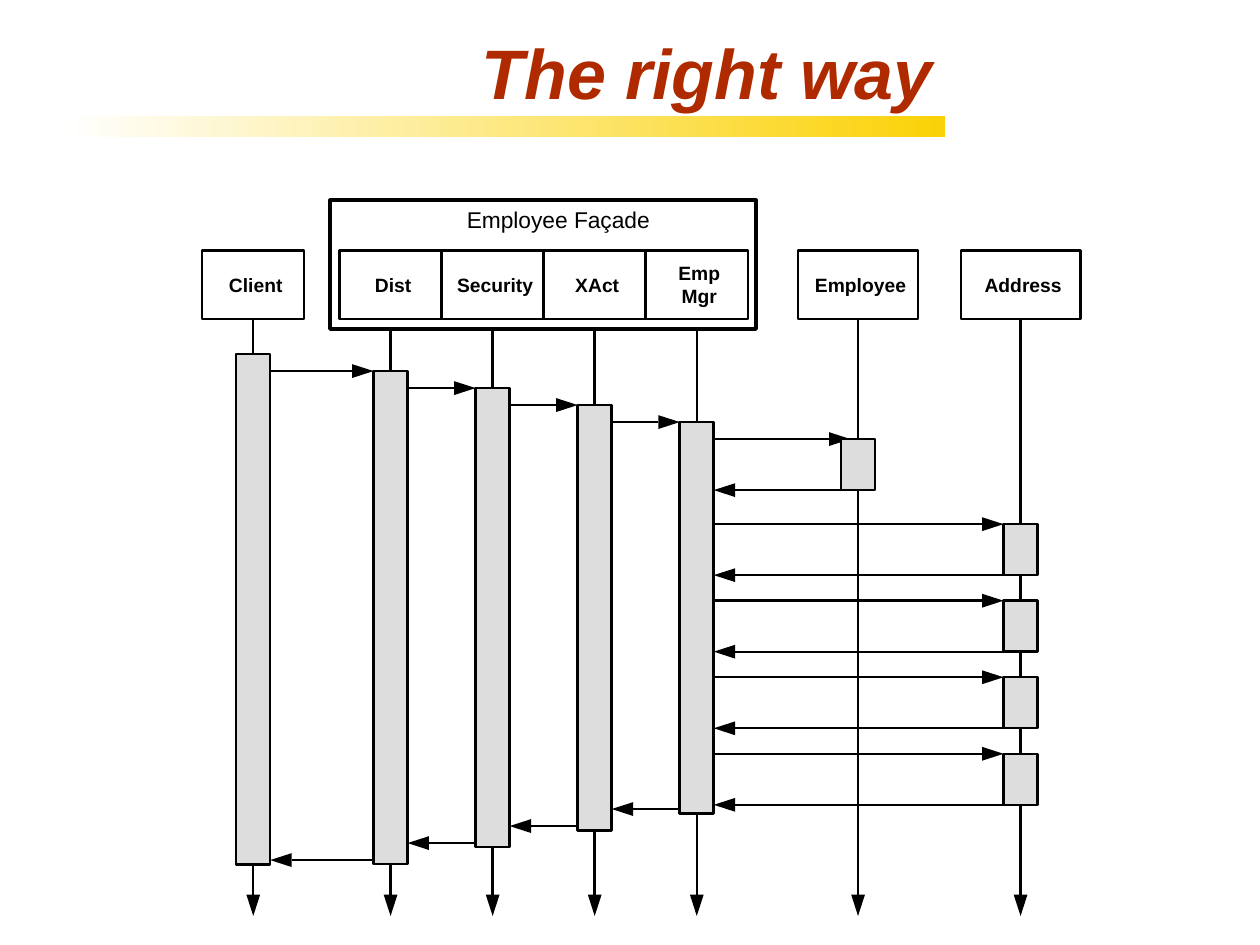
from lxml.etree import SubElement
from pptx import Presentation
from pptx.dml.color import RGBColor
from pptx.enum.shapes import MSO_CONNECTOR as CONNECTOR, MSO_SHAPE as SHAPE
from pptx.enum.text import MSO_ANCHOR as ANCHOR, MSO_AUTO_SIZE as AUTO_SIZE, PP_ALIGN as ALIGN
from pptx.oxml.ns import qn
from pptx.util import Inches, Pt

BLACK = RGBColor(0, 0, 0)
WHITE = RGBColor(255, 255, 255)
GREY = RGBColor(0xDD, 0xDD, 0xDD)
GOLD = RGBColor(0xFB, 0xD2, 0x07)
RUST = RGBColor(0xB0, 0x2A, 0x00)
FONT = "Arial"
THIN, THICK = 1.39, 2.25

# Grid: time runs down in rows, the façade's lanes are one step apart
TIME_TOP, ROW = 2.81, 0.135
FACADE_LANE, LANE_STEP = 3.1, 0.81
HEADER_TOP, HEADER_HEIGHT = 1.99, 0.54
HALF_BAR = 0.135
LIFELINE_END = 7.27
HEAD_LENGTH, HALF_HEAD = 0.17, 0.055

FACADE_PARTS = ["Dist", "Security", "XAct", "Emp\nMgr"]
LANES = {"Client": 2.01, "Employee": 6.81, "Address": 8.1}
LANES.update({name: FACADE_LANE + i * LANE_STEP for i, name in enumerate(FACADE_PARTS)})
WIDE = {"Employee": 0.95, "Address": 0.95}
# Distance from a lane's centre at which its messages end
REACH = {"Employee": 0.06}

# Nested calls: each starts a row later and ends a row earlier
CHAIN = ["Client"] + FACADE_PARTS
CHAIN_ROWS = [(0, 30), (1, 30), (2, 29), (3, 28), (4, 27)]
# Calls from the manager to the entities: lane and first row
ENTITY_CALLS = [("Employee", 5)] + [("Address", 10 + 4.5 * i) for i in range(4)]
ENTITY_ROWS = 3
RETURN_LEAD = 0.25


def row_y(row):
    return TIME_TOP + row * ROW


def add_box(slide, left, top, width, height, fill, line_width=THIN):
    shape = slide.shapes.add_shape(
        SHAPE.RECTANGLE, Inches(left), Inches(top), Inches(width), Inches(height))
    shape.shadow.inherit = False
    shape.fill.solid()
    shape.fill.fore_color.rgb = fill
    shape.line.color.rgb = BLACK
    shape.line.width = Pt(line_width)
    return shape


def set_label(shape, text, size, bold, anchor, left_inset, top_inset=0):
    frame = shape.text_frame
    frame.margin_left, frame.margin_top = Inches(left_inset), Inches(top_inset)
    frame.margin_right = frame.margin_bottom = 0
    frame.vertical_anchor = anchor
    frame.text = text
    for paragraph in frame.paragraphs:
        paragraph.alignment = ALIGN.CENTER
        paragraph.font.name = FONT
        paragraph.font.size = Pt(size)
        paragraph.font.bold = bold
        paragraph.font.color.rgb = BLACK


def add_arrow(slide, start, end):
    """Draw a straight horizontal or vertical line with a long, slim head."""
    (x1, y1), (x2, y2) = start, end
    length = abs(x2 - x1) + abs(y2 - y1)
    dx, dy = (x2 - x1) / length, (y2 - y1) / length
    base_x, base_y = x2 - dx * HEAD_LENGTH, y2 - dy * HEAD_LENGTH

    line = slide.shapes.add_connector(
        CONNECTOR.STRAIGHT, Inches(x1), Inches(y1), Inches(base_x), Inches(base_y))
    line.line.color.rgb = BLACK
    line.line.width = Pt(THIN)
    SubElement(line._element.spPr, qn("a:effectLst"))

    side_x, side_y = dy * HALF_HEAD, dx * HALF_HEAD
    corners = [(x2, y2), (base_x - side_x, base_y + side_y)]
    builder = slide.shapes.build_freeform(
        Inches(base_x + side_x), Inches(base_y - side_y))
    builder.add_line_segments([(Inches(x), Inches(y)) for x, y in corners], close=True)
    head = builder.convert_to_shape()
    head.shadow.inherit = False
    head.fill.solid()
    head.fill.fore_color.rgb = BLACK
    head.line.fill.background()


def add_call(slide, caller, callee, call_row, return_row):
    left = LANES[caller] + HALF_BAR
    right = LANES[callee] - REACH.get(callee, HALF_BAR)
    call_y, return_y = row_y(call_row), row_y(return_row)
    add_arrow(slide, (left, call_y), (right, call_y))
    add_arrow(slide, (right, return_y), (left, return_y))


def add_bar(slide, lane, first, last):
    add_box(slide, LANES[lane] - HALF_BAR, row_y(first), 2 * HALF_BAR,
            (last - first) * ROW, GREY)


def add_title(slide):
    rule = slide.shapes.add_shape(
        SHAPE.RECTANGLE, Inches(0.5), Inches(0.92), Inches(7), Inches(0.17))
    rule.shadow.inherit = False
    rule.line.fill.background()
    rule.fill.gradient()
    rule.fill.gradient_angle = 0
    for stop, color in zip(rule.fill.gradient_stops, (WHITE, GOLD)):
        stop.color.rgb = color
    slide.shapes._spTree.insert(2, rule._element)  # behind the title

    title = slide.shapes.title
    title.left, title.top = Inches(0.5), Inches(0.3)
    title.width, title.height = Inches(7), Inches(0.53)
    frame = title.text_frame
    frame.text = "The right way"
    frame.auto_size = AUTO_SIZE.NONE
    frame.vertical_anchor = ANCHOR.MIDDLE
    paragraph = frame.paragraphs[0]
    paragraph.alignment = ALIGN.RIGHT
    paragraph.font.name = FONT
    paragraph.font.size = Pt(40)
    paragraph.font.bold = paragraph.font.italic = True
    paragraph.font.color.rgb = RUST


def main():
    presentation = Presentation()
    presentation.slide_width, presentation.slide_height = Inches(10), Inches(7.5)
    slide = presentation.slides.add_slide(presentation.slide_layouts[5])
    add_title(slide)

    # Lifelines
    for x in LANES.values():
        add_arrow(slide, (x, HEADER_TOP + HEADER_HEIGHT), (x, LIFELINE_END))

    # Façade and lane headers
    facade = add_box(slide, 2.62, 1.59, 3.38, 1.02, WHITE, THICK)
    set_label(facade, "Employee Façade", 13, False, ANCHOR.TOP, 0.24, 0.04)
    for name, x in LANES.items():
        width = WIDE.get(name, LANE_STEP)
        header = add_box(slide, x - width / 2, HEADER_TOP, width, HEADER_HEIGHT, WHITE)
        set_label(header, name, 11, True, ANCHOR.MIDDLE, 0.04)

    # Calls and returns
    for caller, callee, (first, last) in zip(CHAIN, CHAIN[1:], CHAIN_ROWS[1:]):
        add_call(slide, caller, callee, first, last - RETURN_LEAD)
    for lane, row in ENTITY_CALLS:
        add_call(slide, CHAIN[-1], lane, row, row + ENTITY_ROWS)

    # Activation bars
    for lane, (first, last) in zip(CHAIN, CHAIN_ROWS):
        add_bar(slide, lane, first, last)
    for lane, row in ENTITY_CALLS:
        add_bar(slide, lane, row, row + ENTITY_ROWS)

    presentation.save("out.pptx")


if __name__ == "__main__":
    main()
